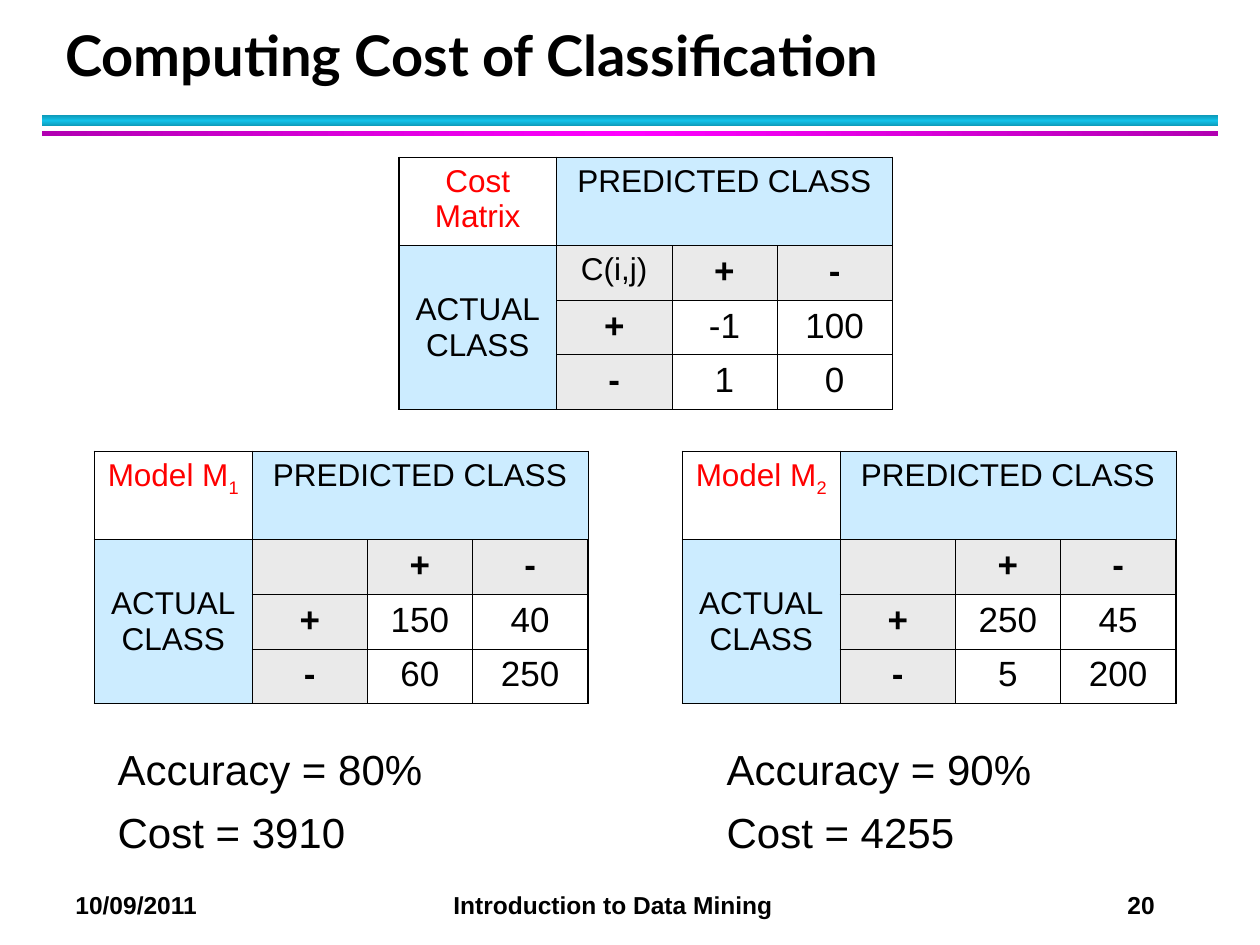
import copy
from dataclasses import dataclass

import pptx
import pptx.dml.color
import pptx.enum.shapes
import pptx.enum.text
import pptx.oxml
import pptx.oxml.ns
import pptx.util

COLORS = {
    "text": "000000", "label": "FF0000", "class": "CCECFF", "sign": "EAEAEA",
    "cyan": "12C2E9", "cyan_edge": "0E9BBA",
    "magenta": "FF00FF", "magenta_edge": "B200B2",
}
COLUMNS = (15, 11, 10, 11)
ROWS = (8.4, 5.2, 5.2, 5.2)
OUTER, INNER = 1.08, 0.45
ALIGN = pptx.enum.text.PP_ALIGN
ANCHOR = pptx.enum.text.MSO_ANCHOR


@dataclass
class Matrix:
    left: float
    top: float
    label: str
    subscript: str
    corner: str
    counts: tuple


@dataclass
class Rule:
    top: float
    height: float
    color: str
    angle: int


@dataclass
class Result:
    left: float
    lines: tuple


MATRICES = (
    Matrix(38, 15, "Cost Matrix", "", "C(i,j)", (("-1", "100"), ("1", "0"))),
    Matrix(9, 43, "Model M", "1", "", (("150", "40"), ("60", "250"))),
    Matrix(65, 43, "Model M", "2", "", (("250", "45"), ("5", "200"))),
)
RULES = (Rule(11, 1, "cyan", 90), Rule(12.5, 0.5, "magenta", 0))
RESULTS = (
    Result(10, ("Accuracy = 80%", "Cost = 3910")),
    Result(68, ("Accuracy = 90%", "Cost = 4255")),
)


def grid(units: float) -> int:
    return pptx.util.Inches(units / 12)


def rgb(color: str) -> pptx.dml.color.RGBColor:
    return pptx.dml.color.RGBColor.from_string(COLORS[color])


def place(shape, left: float, top: float, width: float, height: float) -> None:
    shape.left, shape.top = grid(left), grid(top)
    shape.width, shape.height = grid(width), grid(height)


def style(paragraph, size: float, color: str = "text", bold: bool = False,
          face: str = "Arial") -> None:
    font = paragraph.font
    font.name, font.size, font.bold = face, pptx.util.Pt(size), bold
    font.color.rgb = rgb(color)


def draw_rule(slide, rule: Rule) -> None:
    bar = slide.shapes.add_shape(
        pptx.enum.shapes.MSO_SHAPE.RECTANGLE,
        grid(4), grid(rule.top), grid(112), grid(rule.height))
    bar.shadow.inherit = False
    bar.line.fill.background()
    bar.fill.gradient()
    bar.fill.gradient_angle = rule.angle
    stop_list = bar._element.spPr.find(".//" + pptx.oxml.ns.qn("a:gsLst"))
    stop_list.append(copy.deepcopy(stop_list[-1]))
    edge = rule.color + "_edge"
    for stop, position, color in zip(
            bar.fill.gradient_stops, (0, 0.5, 1), (edge, rule.color, edge)):
        stop.position = position
        stop.color.rgb = rgb(color)


def draw_borders(cell, row: int, column: int) -> None:
    edges = {"L": column == 0, "R": column == len(COLUMNS) - 1,
             "T": row == 0, "B": row == len(ROWS) - 1}
    for side, outside in edges.items():
        width = pptx.util.Pt(OUTER if outside else INNER)
        cell._tc.get_or_add_tcPr().append(pptx.oxml.parse_xml(
            f'<a:ln{side} {pptx.oxml.ns.nsdecls("a")} w="{width}"><a:solidFill>'
            f'<a:srgbClr val="{COLORS["text"]}"/></a:solidFill></a:ln{side}>'))


def draw_matrix(slide, matrix: Matrix) -> None:
    table = slide.shapes.add_table(
        len(ROWS), len(COLUMNS), grid(matrix.left), grid(matrix.top),
        grid(sum(COLUMNS)), grid(sum(ROWS))).table
    table.first_row = table.horz_banding = False
    for column, width in zip(table.columns, COLUMNS):
        column.width = grid(width)
    for row, height in zip(table.rows, ROWS):
        row.height = grid(height)

    texts = (
        (matrix.label, "PREDICTED CLASS", "", ""),
        ("ACTUAL\vCLASS", matrix.corner, "+", "-"),
        ("", "+", *matrix.counts[0]),
        ("", "-", *matrix.counts[1]),
    )
    for r, row_texts in enumerate(texts):
        for c, text in enumerate(row_texts):
            cell = table.cell(r, c)
            draw_borders(cell, r, c)
            is_label = r == c == 0
            is_class = not is_label and (r == 0 or c == 0)
            is_sign = not (is_label or is_class) and (r == 1 or c == 1)
            if is_class or is_sign:
                cell.fill.solid()
                cell.fill.fore_color.rgb = rgb("class" if is_class else "sign")
            else:
                cell.fill.background()
            if not text:
                continue
            cell.text = text
            paragraph = cell.text_frame.paragraphs[0]
            paragraph.alignment = ALIGN.CENTER
            is_corner = r == c == 1
            style(paragraph, 18 if r == 0 or c == 0 or is_corner else 20,
                  "label" if is_label else "text", is_sign and not is_corner)

    if matrix.subscript:
        index = table.cell(0, 0).text_frame.paragraphs[0].add_run()
        index.text = matrix.subscript
        index.font._element.set("baseline", "-25000")
    table.cell(0, 1).merge(table.cell(0, 3))
    table.cell(1, 0).merge(table.cell(3, 0))
    table.cell(1, 0).vertical_anchor = ANCHOR.MIDDLE


def fill_result(body, result: Result) -> None:
    place(body, result.left, 70.2, 40, 13)
    frame = body.text_frame
    frame.text = "\n".join(result.lines)
    frame.auto_size = pptx.enum.text.MSO_AUTO_SIZE.NONE
    for number, paragraph in enumerate(frame.paragraphs):
        properties = paragraph._p.get_or_add_pPr()
        properties.set("marL", "0")
        properties.set("indent", "0")
        paragraph.space_before = pptx.util.Pt(3 if number else 0)
        paragraph.space_after = pptx.util.Pt(4)
        properties.append(pptx.oxml.parse_xml(
            f'<a:buNone {pptx.oxml.ns.nsdecls("a")}/>'))
        style(paragraph, 24)


def fill_title(title) -> None:
    place(title, 5, 2, 109, 7)
    title.text_frame.text = "Computing Cost of Classification"
    title.text_frame.vertical_anchor = ANCHOR.BOTTOM
    title.text_frame.auto_size = pptx.enum.text.MSO_AUTO_SIZE.NONE
    heading = title.text_frame.paragraphs[0]
    heading.alignment = ALIGN.LEFT
    heading.line_spacing = pptx.util.Pt(36)
    style(heading, 32, bold=True, face="Lato")


def draw_footer(slide) -> None:
    footer = slide.shapes.add_textbox(grid(6), grid(84.2), grid(112), grid(4))
    footer.text_frame.word_wrap = True
    line = footer.text_frame.paragraphs[0]
    line.text = "10/09/2011\tIntroduction to Data Mining\t20"
    line._p.get_or_add_pPr().append(pptx.oxml.parse_xml(
        f'<a:tabLst {pptx.oxml.ns.nsdecls("a")}>'
        f'<a:tab pos="{grid(36)}" algn="l"/>'
        f'<a:tab pos="{grid(102.8)}" algn="r"/></a:tabLst>'))
    style(line, 14, bold=True)


def main() -> None:
    deck = pptx.Presentation()
    deck.slide_width, deck.slide_height = grid(120), grid(90)
    slide = deck.slides.add_slide(deck.slide_layouts.get_by_name("Two Content"))
    for rule in RULES:
        draw_rule(slide, rule)
    fill_title(slide.shapes.title)
    for matrix in MATRICES:
        draw_matrix(slide, matrix)
    for number, result in enumerate(RESULTS, start=1):
        fill_result(slide.placeholders[number], result)
    draw_footer(slide)
    deck.save("out.pptx")


if __name__ == "__main__":
    main()
